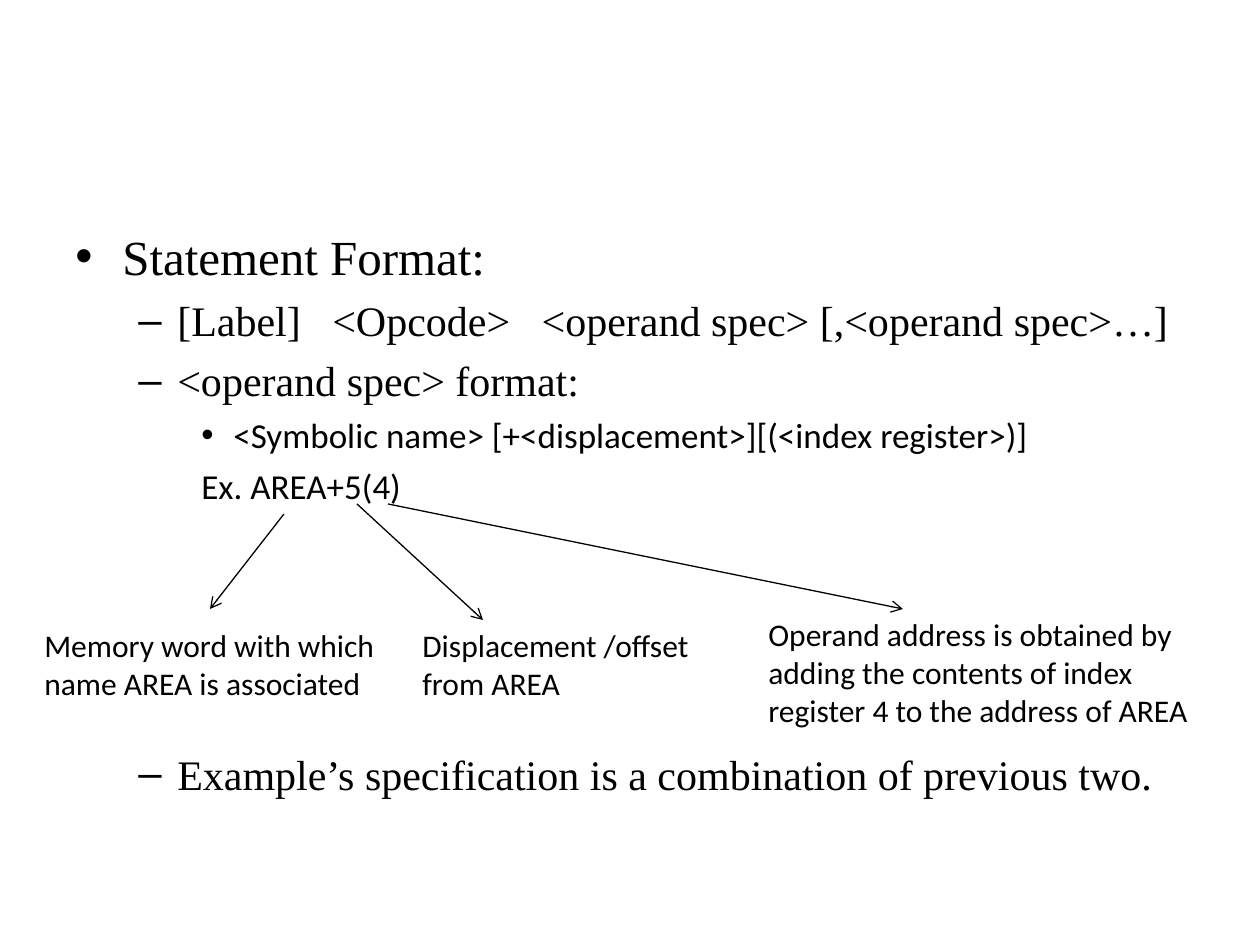
"""Build the slide on the assembly statement format and its operand specification."""
from lxml import etree
from pptx import Presentation
from pptx.dml.color import RGBColor
from pptx.enum.shapes import MSO_CONNECTOR
from pptx.enum.text import MSO_AUTO_SIZE
from pptx.oxml.ns import qn
from pptx.util import Emu, Pt

STRAIGHT = MSO_CONNECTOR.STRAIGHT
NO_AUTOFIT = MSO_AUTO_SIZE.NONE
PIXEL = 914400 // 126
COLORS = {"background": "FFFFFF", "ink": "000000"}
SERIF, SANS = "Times New Roman", "Calibri"

LEVELS = [
    {"margin": 47, "hanging": 47, "size": 28, "before": 6.5},
    {"margin": 102, "hanging": 39, "size": 24, "before": 5.5},
    {"margin": 158, "hanging": 32, "size": 20, "before": 5},
]
BODY_BOX = (63, 220, 1134, 624)
DIAGRAM_GAP = 138
BODY = [
    (0, "•", SERIF, "Statement Format:", None),
    (1, "–", SERIF, "[Label]   <Opcode>   <operand spec> [,<operand spec>…]", None),
    (1, "–", SERIF, "<operand spec> format:", None),
    (2, "•", SANS, "<Symbolic name> [+<displacement>][(<index register>)]", None),
    (2, None, SANS, "Ex. AREA+5(4)", None),
    (1, "–", SERIF, "Example’s specification is a combination of previous two.", DIAGRAM_GAP),
]
NOTE_SIZE = 18
NOTES = [
    ((32, 620, 367, 89), ["Memory word with which", "name AREA is associated"]),
    ((410, 620, 325, 89), ["Displacement /offset from AREA"]),
    ((756, 609, 451, 127),
     ["Operand address is obtained by adding the contents of index register 4 "
      "to the address of AREA"]),
]
ARROWS = [(284, 514, 210, 609), (357, 504, 483, 620), (388, 504, 903, 609)]


def pixels(*values):
    return [Emu(value * PIXEL) for value in values]


def add_text_frame(slide, box):
    frame = slide.shapes.add_textbox(*pixels(*box)).text_frame
    frame.word_wrap = True
    frame.auto_size = NO_AUTOFIT
    return frame


def add_paragraph(frame, index, text, font_name, size):
    paragraph = frame.add_paragraph() if index else frame.paragraphs[0]
    run = paragraph.add_run()
    run.text = text
    for name, value in {"name": font_name, "size": Pt(size)}.items():
        setattr(run.font, name, value)
    run.font.color.rgb = RGBColor.from_string(COLORS["ink"])
    return paragraph


def set_bullet(paragraph, bullet, margin, hanging):
    properties = paragraph._p.get_or_add_pPr()
    properties.set("marL", str(margin * PIXEL))
    properties.set("indent", str(-hanging * PIXEL))
    if bullet:
        etree.SubElement(properties, qn("a:buFont"), typeface="Arial")
        etree.SubElement(properties, qn("a:buChar"), char=bullet)
    else:
        etree.SubElement(properties, qn("a:buNone"))


def add_body(slide):
    frame = add_text_frame(slide, BODY_BOX)
    for index, (level, bullet, font_name, text, gap) in enumerate(BODY):
        style = LEVELS[level]
        paragraph = add_paragraph(frame, index, text, font_name, style["size"])
        paragraph.level = level
        paragraph.space_before = Pt(gap or style["before"])
        set_bullet(paragraph, bullet, style["margin"], style["hanging"])


def add_arrow(slide, ends):
    arrow = slide.shapes.add_connector(STRAIGHT, *pixels(*ends))
    arrow.line.color.rgb = RGBColor.from_string(COLORS["ink"])
    arrow.line.width = Pt(0.75)
    etree.SubElement(arrow.line._get_or_add_ln(), qn("a:tailEnd"), type="arrow")
    etree.SubElement(arrow._element.spPr, qn("a:effectLst"))


def add_note(slide, box, lines):
    frame = add_text_frame(slide, box)
    for index, line in enumerate(lines):
        add_paragraph(frame, index, line, SANS, NOTE_SIZE)


def main():
    presentation = Presentation()
    presentation.slide_width, presentation.slide_height = pixels(1260, 945)
    slide = presentation.slides.add_slide(presentation.slide_layouts[6])
    slide.background.fill.solid()
    slide.background.fill.fore_color.rgb = RGBColor.from_string(COLORS["background"])
    add_body(slide)
    for ends, (box, lines) in zip(ARROWS, NOTES):
        add_arrow(slide, ends)
        add_note(slide, box, lines)
    presentation.save("out.pptx")


main()
